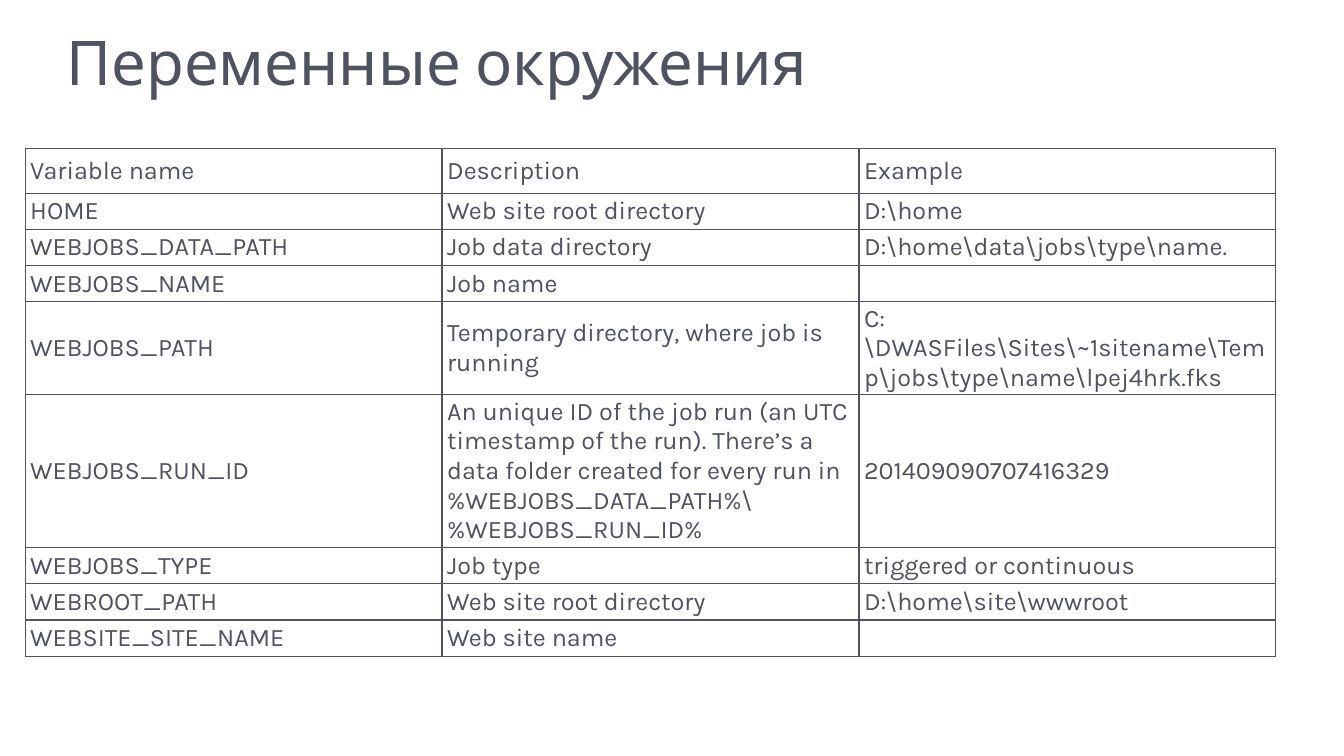
from lxml import etree
from pptx import Presentation
from pptx.dml.color import RGBColor
from pptx.enum import text
from pptx.oxml import ns
from pptx.util import Pt

HUES = {"ink": "4F525F", "page": "FFFFFF"}
FACE = "Karla"
ROWS = [
    ("Variable name", "Description", "Example"),
    ("HOME", "Web site root directory", "D:\\home"),
    ("WEBJOBS_DATA_PATH", "Job data directory", "D:\\home\\data\\jobs\\type\\name."),
    ("WEBJOBS_NAME", "Job name", ""),
    ("WEBJOBS_PATH", "Temporary directory, where job is running",
     "C:\\DWASFiles\\Sites\\~1sitename\\Temp\\jobs\\type\\name\\lpej4hrk.fks"),
    ("WEBJOBS_RUN_ID",
     "An unique ID of the job run (an UTC timestamp of the run). There’s a data folder "
     "created for every run in %WEBJOBS_DATA_PATH%\\%WEBJOBS_RUN_ID%",
     "201409090707416329"),
    ("WEBJOBS_TYPE", "Job type", "triggered or continuous"),
    ("WEBROOT_PATH", "Web site root directory", "D:\\home\\site\\wwwroot"),
    ("WEBSITE_SITE_NAME", "Web site name", ""),
]
LOW = 25.9
TALL = {0: 32, 4: 45.4, 5: 109.2}
WIDE = 297.8


def style(para, size):
    for run in para.runs:
        run.font.name = FACE
        run.font.size = Pt(size)
        run.font.color.rgb = RGBColor.from_string(HUES["ink"])


def add_title(slide, words):
    title = slide.shapes.title
    title.left, title.top, title.width, title.height = Pt(42.5), Pt(23), Pt(917.5), Pt(70.5)
    frame = title.text_frame
    frame.text = words
    frame.word_wrap = True
    frame.auto_size = text.MSO_AUTO_SIZE.NONE
    frame.vertical_anchor = text.MSO_ANCHOR.TOP
    frame.margin_left, frame.margin_top = Pt(5), Pt(0)
    para = frame.paragraphs[0]
    para.alignment = text.PP_ALIGN.LEFT
    para.line_spacing = 0.9
    style(para, 44)


def add_edges(cell):
    props = cell._tc.get_or_add_tcPr()
    for spot, side in enumerate(("lnL", "lnR", "lnT", "lnB")):
        line = etree.Element(ns.qn("a:" + side), w=str(Pt(1)))
        fill = etree.SubElement(line, ns.qn("a:solidFill"))
        etree.SubElement(fill, ns.qn("a:srgbClr"), val=HUES["ink"])
        props.insert(spot, line)


def fill_cell(cell, words):
    cell.text_frame.text = words
    cell.vertical_anchor = text.MSO_ANCHOR.MIDDLE
    cell.margin_left = cell.margin_right = Pt(3.6)
    cell.margin_top = cell.margin_bottom = Pt(1.5)
    cell.fill.solid()
    cell.fill.fore_color.rgb = RGBColor.from_string(HUES["page"])
    add_edges(cell)
    style(cell.text_frame.paragraphs[0], 18)


def add_grid(slide, rows):
    tall = [TALL.get(i, LOW) for i in range(len(rows))]
    cols = len(rows[0])
    table = slide.shapes.add_table(
        len(rows), cols, Pt(18), Pt(106), Pt(WIDE * cols), Pt(sum(tall))).table
    table.first_row = table.horz_banding = False
    for col in table.columns:
        col.width = Pt(WIDE)
    for i, row in enumerate(rows):
        table.rows[i].height = Pt(tall[i])
        for j, words in enumerate(row):
            fill_cell(table.cell(i, j), words)


def main():
    deck = Presentation()
    deck.slide_width, deck.slide_height = Pt(960), Pt(540)
    slide = deck.slides.add_slide(deck.slide_layouts[5])
    add_title(slide, "Переменные окружения")
    add_grid(slide, ROWS)
    deck.save("out.pptx")


if __name__ == "__main__":
    main()
